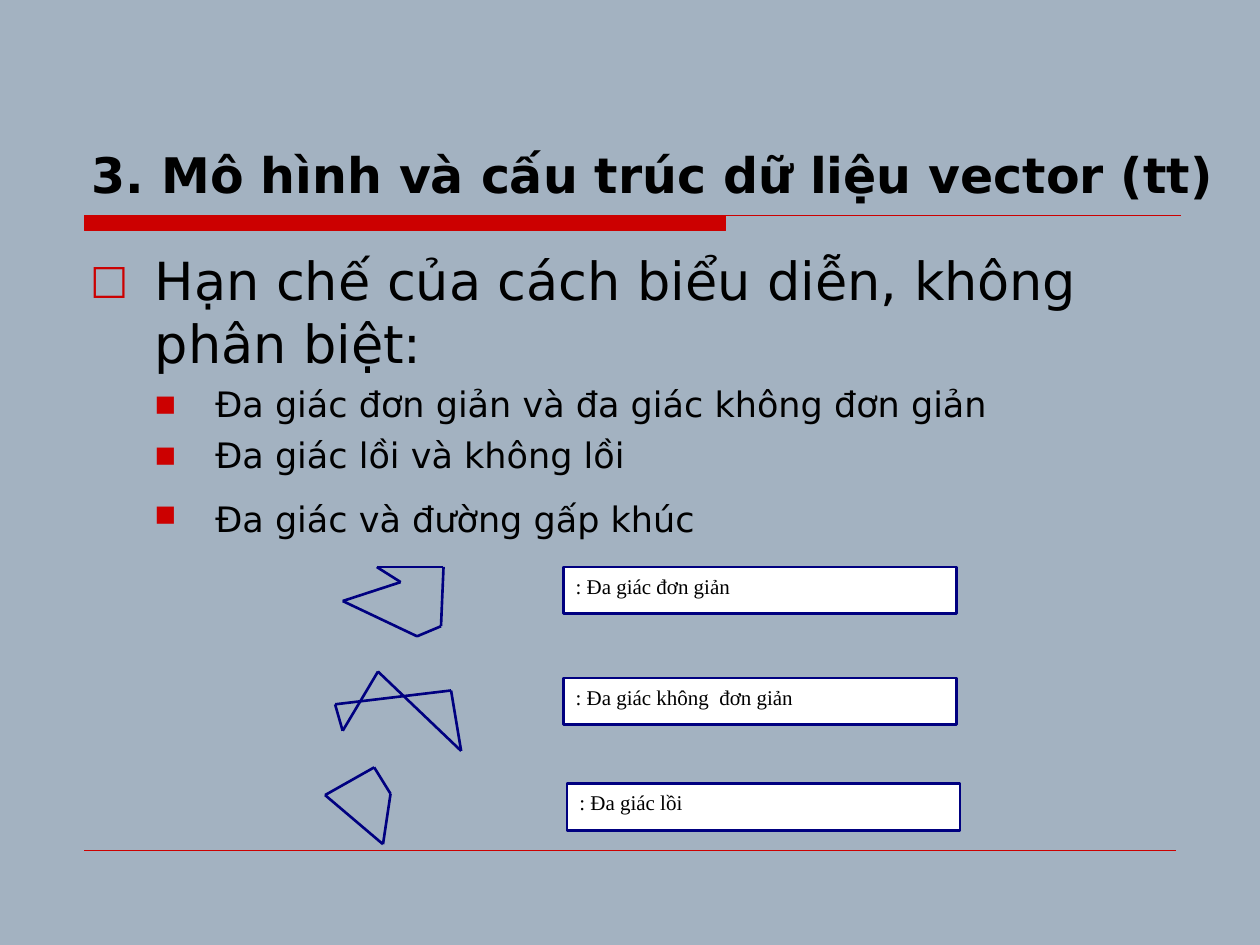
"""Build the slide on the limits of the vector polygon representation."""
from lxml import etree
from pptx import Presentation
from pptx.dml.color import RGBColor
from pptx.enum.shapes import MSO_CONNECTOR, MSO_SHAPE
from pptx.enum.text import MSO_ANCHOR, PP_ALIGN
from pptx.oxml.ns import qn
from pptx.util import Inches, Pt

STRAIGHT = MSO_CONNECTOR.STRAIGHT
RECTANGLE = MSO_SHAPE.RECTANGLE
TOP, BOTTOM = MSO_ANCHOR.TOP, MSO_ANCHOR.BOTTOM
LEFT = PP_ALIGN.LEFT

BACKGROUND = RGBColor(0xA3, 0xB2, 0xC1)
RED = RGBColor(0xCC, 0x00, 0x00)
NAVY = RGBColor(0x00, 0x00, 0x80)
WHITE = RGBColor(0xFF, 0xFF, 0xFF)
BLACK = RGBColor(0x00, 0x00, 0x00)
SANS, SERIF = "DejaVu Sans", "Times New Roman"

TITLE = "3. Mô hình và cấu trúc dữ liệu vector (tt)"
LEVELS = [
    {"bullet": "□", "scale": 77, "left": 0.51, "hanging": 0.51},
    {"bullet": "■", "scale": 64, "left": 0.99, "hanging": 0.48},
]
BODY = [
    (0, 7.5, [("Hạn chế của cách biểu diễn, không phân biệt:", 30)]),
    (1, 5, [("Đa giác đơn giản và đa giác không đơn giản", 20)]),
    (1, 5, [("Đa giác lồi và không lồi", 20)]),
    (1, 6.5, [("Đa giác và đường gấp khúc", 20), (" ", 26)]),
]
POLYGONS = [
    [(2.99, 4.5), (3.18, 4.62), (2.72, 4.77), (3.31, 5.05), (3.5, 4.97), (3.52, 4.5)],
    [(2.66, 5.59), (3.58, 5.48), (3.66, 5.96), (3, 5.33), (2.72, 5.8)],
    [(2.97, 6.09), (3.1, 6.3), (3.04, 6.7), (2.58, 6.31)],
]
LABELS = [
    (4.47, 4.5, ": Đa giác đơn giản"),
    (4.47, 5.38, ": Đa giác không  đơn giản"),
    (4.5, 6.22, ": Đa giác lồi"),
]
LABEL_SIZE = (3.12, 0.37)
TITLE_BAR = [(0.67, 1.71), (5.76, 1.71), (5.76, 1.83), (0.67, 1.83)]
TITLE_RULE_END = (9.37, 1.71)
FOOTER_RULE = [0.67, 6.75, 9.33, 6.75]


def add_span(para, text, **formats):
    span = para.add_run()
    span.text = text
    span.font.color.rgb = BLACK
    for name, value in formats.items():
        setattr(span.font, name, value)


def set_line(shape, color, width):
    shape.line.color.rgb = color
    shape.line.width = Pt(width)


def set_frame(shape, anchor):
    frame = shape.text_frame
    formats = {
        "word_wrap": True, "vertical_anchor": anchor,
        "margin_left": Inches(0.1), "margin_right": Inches(0.1),
        "margin_top": Inches(0.05), "margin_bottom": Inches(0.05),
    }
    for name, value in formats.items():
        setattr(frame, name, value)
    return frame


def set_bullet(para, level):
    properties = para._p.get_or_add_pPr()
    properties.set("marL", str(Inches(level["left"])))
    properties.set("indent", str(-Inches(level["hanging"])))
    color = etree.SubElement(properties, qn("a:buClr"))
    etree.SubElement(color, qn("a:srgbClr"), val=str(RED))
    etree.SubElement(properties, qn("a:buSzPct"), val=str(level["scale"] * 1000))
    etree.SubElement(properties, qn("a:buFont"), typeface=SANS)
    etree.SubElement(properties, qn("a:buChar"), char=level["bullet"])


def to_lengths(points):
    return [(Inches(x), Inches(y)) for x, y in points]


def add_title_bar(page):
    start, *corners = to_lengths(TITLE_BAR)
    builder = page.shapes.build_freeform(*start)
    builder.add_line_segments(corners, close=True)
    builder.move_to(*start)
    builder.add_line_segments(to_lengths([TITLE_RULE_END]), close=False)
    bar = builder.convert_to_shape()
    bar.shadow.inherit = False
    bar.fill.solid()
    bar.fill.fore_color.rgb = RED
    set_line(bar, RED, 0.75)


def add_footer_rule(page):
    rule = page.shapes.add_connector(STRAIGHT, *map(Inches, FOOTER_RULE))
    set_line(rule, RED, 0.25)
    etree.SubElement(rule._element.spPr, qn("a:effectLst"))


def add_polygon(page, points):
    corners = to_lengths(points)
    for start, end in zip(corners, corners[1:] + corners[:1]):
        builder = page.shapes.build_freeform(*start)
        builder.add_line_segments([end], close=False)
        edge = builder.convert_to_shape()
        edge.shadow.inherit = False
        edge.fill.background()
        set_line(edge, NAVY, 1.5)


def add_label(page, left, top, text):
    label = page.shapes.add_shape(
        RECTANGLE, *map(Inches, (left, top) + LABEL_SIZE))
    label.shadow.inherit = False
    label.fill.solid()
    label.fill.fore_color.rgb = WHITE
    set_line(label, NAVY, 1.5)
    para = set_frame(label, TOP).paragraphs[0]
    para.alignment = LEFT
    add_span(para, text, name=SERIF, size=Pt(12))


def add_title(page):
    box = page.shapes.add_textbox(Inches(0.63), Inches(0.33), Inches(9.12), Inches(1.33))
    para = set_frame(box, BOTTOM).paragraphs[0]
    add_span(para, TITLE, name=SANS, size=Pt(28), bold=True)


def add_body(page):
    box = page.shapes.add_textbox(Inches(0.62), Inches(1.92), Inches(8.75), Inches(2.5))
    frame = set_frame(box, TOP)
    for index, (level, space, spans) in enumerate(BODY):
        para = frame.add_paragraph() if index else frame.paragraphs[0]
        para.level = level
        para.space_before = Pt(space)
        set_bullet(para, LEVELS[level])
        for text, size in spans:
            add_span(para, text, name=SANS, size=Pt(size))


def main():
    deck = Presentation()
    deck.slide_width, deck.slide_height = Inches(10), Inches(7.5)
    page = deck.slides.add_slide(deck.slide_layouts[6])
    page.background.fill.solid()
    page.background.fill.fore_color.rgb = BACKGROUND

    add_title_bar(page)
    add_footer_rule(page)
    add_title(page)
    add_body(page)
    for points in POLYGONS:
        add_polygon(page, points)
    for label in LABELS:
        add_label(page, *label)
    deck.save("out.pptx")


if __name__ == "__main__":
    main()
